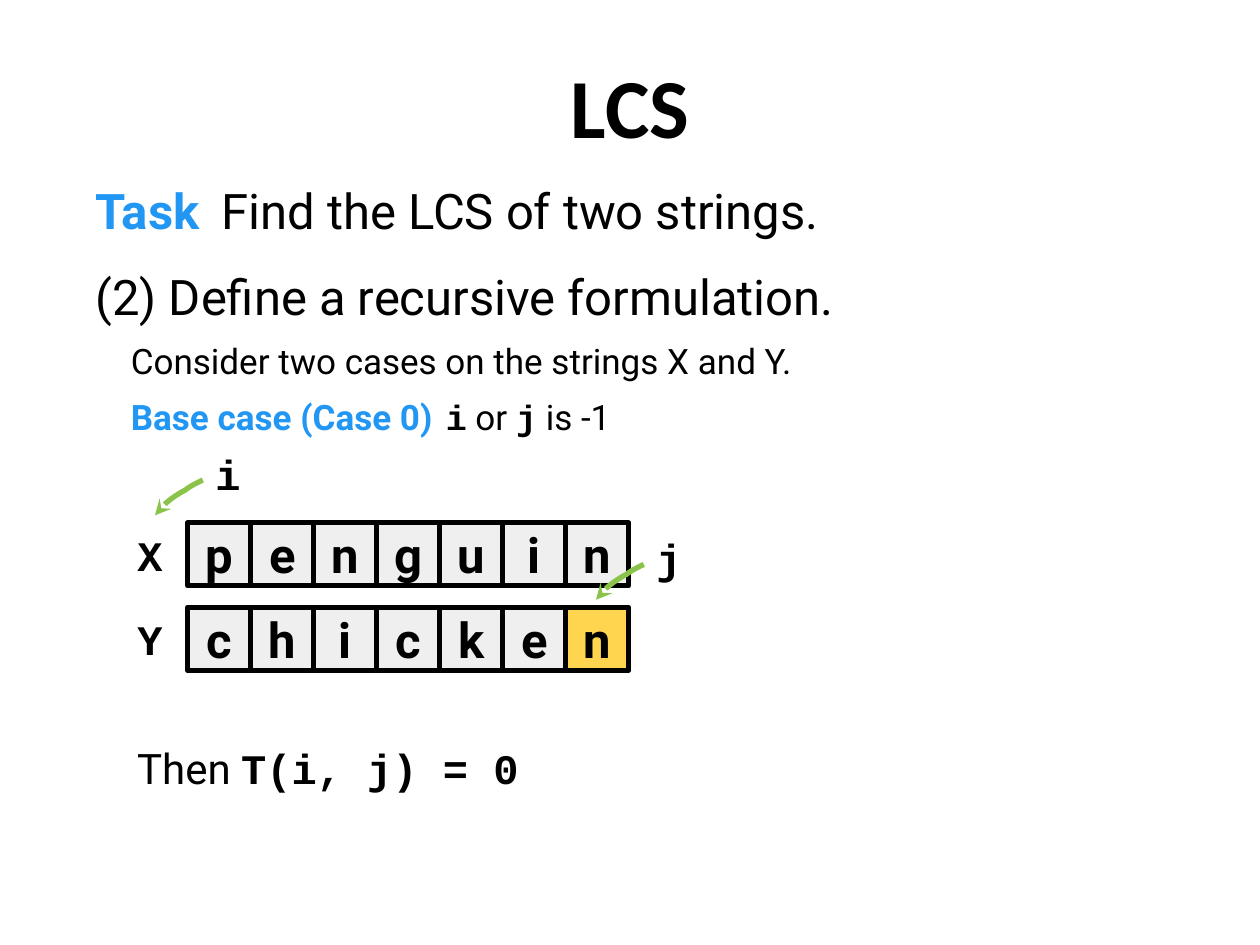
from lxml.etree import SubElement
from pptx import Presentation
from pptx.dml.color import RGBColor
from pptx.enum.shapes import MSO_SHAPE as Shape
from pptx.enum.text import MSO_ANCHOR as Anchor, MSO_AUTO_SIZE as AutoSize, PP_ALIGN as Align
from pptx.oxml.ns import qn
from pptx.util import Inches, Pt

BLACK, BLUE, GREEN = "000000", "2196F3", "8BC34A"
GREY, YELLOW = "EFEFEF", "FFD54F"
ROBOTO, COURIER = "Roboto", "Courier New"


def color(value):
    """Turn a hex string into a colour."""
    return RGBColor.from_string(value)


def style(size, name=ROBOTO, bold=False, ink=BLACK):
    """Describe the font of one run."""
    return {"size": Pt(size), "name": name, "bold": bold, "ink": ink}


def bezier(start, first, second, end, steps=8):
    """List points along a cubic curve, without its start."""
    points = []
    for step in range(1, steps + 1):
        t = step / steps
        weights = ((1 - t) ** 3, 3 * t * (1 - t) ** 2, 3 * t * t * (1 - t), t ** 3)
        points.append(tuple(sum(w * p[axis] for w, p in zip(weights, (start, first, second, end)))
                            for axis in (0, 1)))
    return points


class SlideBuilder:
    """Holds the slide and draws each kind of element on it."""

    cell = 0.5
    stroke = 3

    def __init__(self, slide):
        """Keep the slide to draw on."""
        self.slide = slide

    def paragraph(self, para, runs, align=Align.LEFT, before=0, indent=0, tab=0):
        """Fill a paragraph with (text, style) runs and set its layout."""
        for key, value in {"alignment": align, "space_before": Pt(before)}.items():
            setattr(para, key, value)
        props = para._p.get_or_add_pPr()
        props.set("marL", str(Inches(indent)))
        props.set("indent", "0")
        if tab:
            stops = SubElement(props, qn("a:tabLst"))
            SubElement(stops, qn("a:tab"), pos=str(Inches(tab)), algn="l")
        for words, look in runs:
            run = para.add_run()
            run.text = words
            for key, value in look.items():
                if key == "ink":
                    run.font.color.rgb = color(value)
                else:
                    setattr(run.font, key, value)

    def frame(self, shape, paragraphs, anchor=Anchor.TOP, inset=0.1, grow=False):
        """Set up a text frame and write its paragraphs."""
        frame = shape.text_frame
        layout = {"word_wrap": True, "vertical_anchor": anchor,
                  "auto_size": AutoSize.SHAPE_TO_FIT_TEXT if grow else AutoSize.NONE,
                  "margin_left": Inches(0.1), "margin_right": Inches(0.1),
                  "margin_top": Inches(inset), "margin_bottom": Inches(inset)}
        for key, value in layout.items():
            setattr(frame, key, value)
        for index, options in enumerate(paragraphs):
            para = frame.add_paragraph() if index else frame.paragraphs[0]
            self.paragraph(para, **options)

    def text(self, box, paragraphs, **options):
        """Add a text box."""
        self.frame(self.slide.shapes.add_textbox(*map(Inches, box)), paragraphs, **options)

    def label(self, left, top, letter):
        """Add a cell-sized letter without a box."""
        self.text((left, top, self.cell, self.cell),
                  [{"runs": [(letter, style(24, COURIER, True))], "align": Align.CENTER}],
                  anchor=Anchor.MIDDLE)

    def letter_cell(self, left, top, letter, fill):
        """Add one boxed letter."""
        box = self.slide.shapes.add_shape(
            Shape.RECTANGLE, *map(Inches, (left, top, self.cell, self.cell)))
        box.shadow.inherit = False
        box.fill.solid()
        box.fill.fore_color.rgb = color(fill)
        box.line.color.rgb = color(BLACK)
        box.line.width = Pt(self.stroke)
        self.frame(box, [{"runs": [(letter, style(28, bold=True))], "align": Align.CENTER}],
                   anchor=Anchor.MIDDLE)

    def string_row(self, name, word, top, marked=None):
        """Add a named string, one letter per cell."""
        self.label(0.94, top, name)
        for index, letter in enumerate(word):
            self.letter_cell(1.49 + index * self.cell, top, letter,
                             YELLOW if index == marked else GREY)

    def pointer(self, left, top):
        """Add a curved arrow that starts at the given point."""
        bends = [[(-0.02, 0.01), (-0.09, 0.04), (-0.14, 0.08)],
                 [(-0.2, 0.11), (-0.27, 0.16), (-0.31, 0.2)],
                 [(-0.35, 0.23), (-0.37, 0.27), (-0.38, 0.28)]]
        points = [(0, 0)]
        for bend in bends:
            points += bezier(points[-1], *bend)
        track = [(Inches(left + x), Inches(top + y)) for x, y in points]
        outline = self.slide.shapes.build_freeform(*track[0])
        outline.add_line_segments(track[1:], close=False)
        arrow = outline.convert_to_shape()
        arrow.shadow.inherit = False
        arrow.fill.background()
        arrow.line.color.rgb = color(GREEN)
        arrow.line.width = Pt(self.stroke)
        SubElement(arrow.line._get_or_add_ln(), qn("a:tailEnd"), type="stealth")


def main():
    """Build the slide and save it."""
    deck = Presentation()
    deck.slide_width, deck.slide_height = Inches(10), Inches(7.5)
    page = SlideBuilder(deck.slides.add_slide(deck.slide_layouts[6]))

    page.text((0, 0.33, 10, 1.25),
              [{"runs": [("LCS", style(48, "Calibri", True))], "align": Align.CENTER}])
    large, small, code = style(28), style(20), style(20, COURIER, True)
    page.text((0.66, 1.33, 8.67, 2.42), [
        {"runs": [("Task", style(28, bold=True, ink=BLUE)),
                  ("\tFind the LCS of two strings.", large)], "tab": 1},
        {"runs": [("(2) Define a recursive formulation.", large)], "before": 16},
        {"runs": [("Consider two cases on the strings X and Y.", small)],
         "before": 8, "indent": 0.28},
        {"runs": [("Base case (Case 0)", style(20, bold=True, ink=BLUE)), ("\ti", code),
                  (" or ", small), ("j", code), (" is -1", small)],
         "before": 8, "indent": 0.28, "tab": 2.8},
    ])

    page.string_row("X", "penguin", 4.15)
    page.string_row("Y", "chicken", 4.82, marked=6)
    page.label(1.56, 3.51, "i")
    page.pointer(1.61, 3.81)
    page.label(5.06, 4.18, "j")
    page.pointer(5.11, 4.48)

    page.text((0.99, 5.84, 5, 0.5),
              [{"runs": [("Then ", style(24)), ("T(i, j) = 0", style(24, COURIER, True))]}],
              inset=0.05, grow=True)
    deck.save("out.pptx")


main()
